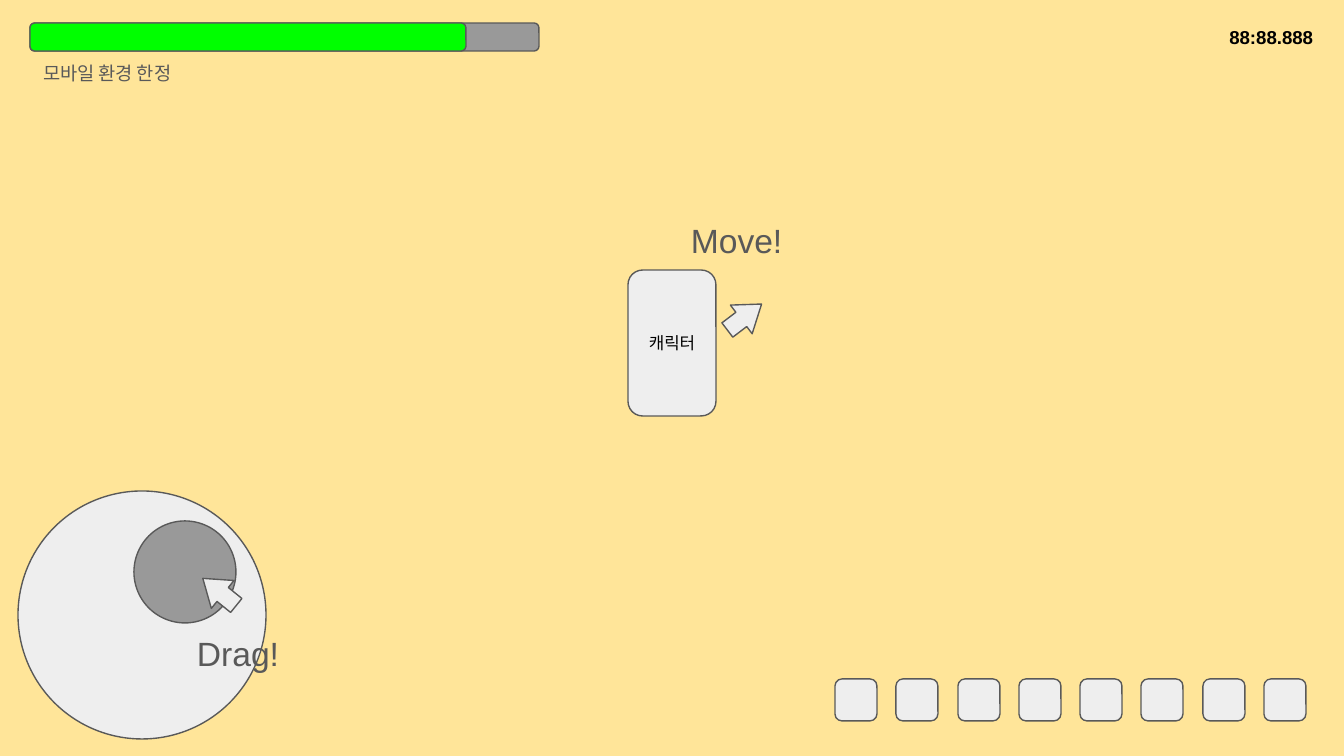
from pptx import Presentation
from pptx.dml.color import RGBColor
from pptx.enum.shapes import MSO_SHAPE as Preset
from pptx.enum.text import MSO_ANCHOR as Anchor, MSO_AUTO_SIZE as AutoSize, PP_ALIGN as Align
from pptx.util import Emu, Pt

SAND = RGBColor(0xFF, 0xE5, 0x99)
LIGHT = RGBColor(0xEE, 0xEE, 0xEE)
GRAY = RGBColor(0x99, 0x99, 0x99)
DARK = RGBColor(0x59, 0x59, 0x59)
GREEN = RGBColor(0x00, 0xFF, 0x00)
BLACK = RGBColor(0x00, 0x00, 0x00)

SLIDE_WIDTH, SLIDE_HEIGHT = 1344, 756
EMU_PER_PX = 9144000 / SLIDE_WIDTH
INSET = 13
SLOT_COUNT, SLOT_SIZE, SLOT_TOP = 8, 42, 679
FIRST_SLOT, LAST_SLOT = 835, 1264


def scaled(*lengths):
    return [Emu(round(length * EMU_PER_PX)) for length in lengths]


def write_text(shape, text, size, color, bold=False, align=Align.LEFT, **frame_format):
    frame = shape.text_frame
    inset = scaled(INSET)[0]
    frame_values = {"word_wrap": True, "margin_left": inset, "margin_right": inset,
                    "margin_top": inset, "margin_bottom": inset, **frame_format}
    for name, value in frame_values.items():
        setattr(frame, name, value)
    paragraph = frame.paragraphs[0]
    paragraph.alignment = align
    run = paragraph.add_run()
    run.text = text
    for name, value in {"name": "Arial", "size": Pt(size), "bold": bold}.items():
        setattr(run.font, name, value)
    run.font.color.rgb = color


presentation = Presentation()
presentation.slide_width, presentation.slide_height = scaled(SLIDE_WIDTH, SLIDE_HEIGHT)
slide = presentation.slides.add_slide(presentation.slide_layouts[6])
slide.background.fill.solid()
slide.background.fill.fore_color.rgb = SAND

joystick = [
    (Preset.OVAL, (18, 491, 248, 248), LIGHT, 0),
    (Preset.OVAL, (134, 521, 102, 102), GRAY, 0),
    (Preset.LEFT_ARROW, (198, 574, 43, 36), LIGHT, 39),
]
character = [
    (Preset.ROUNDED_RECTANGLE, (628, 270, 88, 146), LIGHT, 0),
    (Preset.LEFT_ARROW, (723, 299, 43, 36), LIGHT, 142.8),
]
health_bar = [
    (Preset.ROUNDED_RECTANGLE, (30, 23, 509, 28), GRAY, 0),
    (Preset.ROUNDED_RECTANGLE, (30, 23, 436, 28), GREEN, 0),
]
slot_pitch = (LAST_SLOT - FIRST_SLOT) / (SLOT_COUNT - 1)
slots = [
    (Preset.ROUNDED_RECTANGLE,
     (FIRST_SLOT + round(index * slot_pitch), SLOT_TOP, SLOT_SIZE, SLOT_SIZE), LIGHT, 0)
    for index in range(SLOT_COUNT)
]
drag_label = ("Drag!", 18, (184, 620, 113, 67))
move_label = ("Move!", 18, (678, 207, 122, 67))
platform_label = ("모바일 환경 한정", 10, (30, 51, 172, 50))

groups = [(joystick, drag_label), (character, move_label), ([], platform_label),
          (health_bar, None), (slots, None)]

for parts, label in groups:
    for preset, box, color, rotation in parts:
        shape = slide.shapes.add_shape(preset, *scaled(*box))
        shape.shadow.inherit = False
        shape.fill.solid()
        shape.fill.fore_color.rgb = color
        shape.line.color.rgb = DARK
        shape.line.width = Pt(0.75)
        shape.rotation = rotation
        if preset == Preset.LEFT_ARROW:
            shape.adjustments[1] = 0.71
        if parts is character and preset == Preset.ROUNDED_RECTANGLE:
            write_text(shape, "캐릭터", 9, BLACK, align=Align.CENTER,
                       vertical_anchor=Anchor.MIDDLE)
    if label:
        text, size, box = label
        text_box = slide.shapes.add_textbox(*scaled(*box))
        write_text(text_box, text, size, DARK, auto_size=AutoSize.SHAPE_TO_FIT_TEXT)

timer = slide.shapes.add_textbox(*scaled(1154, 10, 172, 50))
write_text(timer, "88:88.888", 10, BLACK, True, Align.RIGHT, vertical_anchor=Anchor.BOTTOM)

presentation.save("out.pptx")
